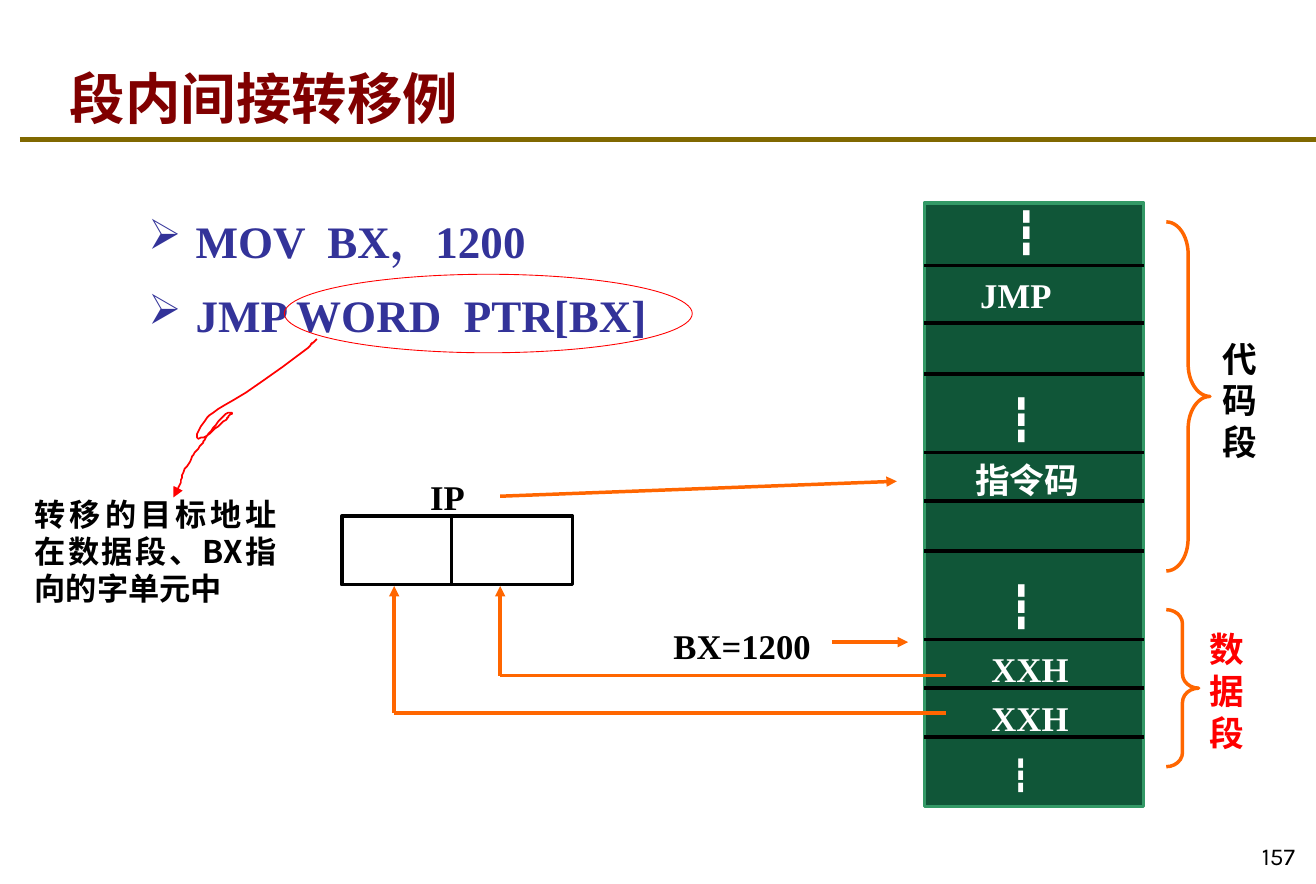
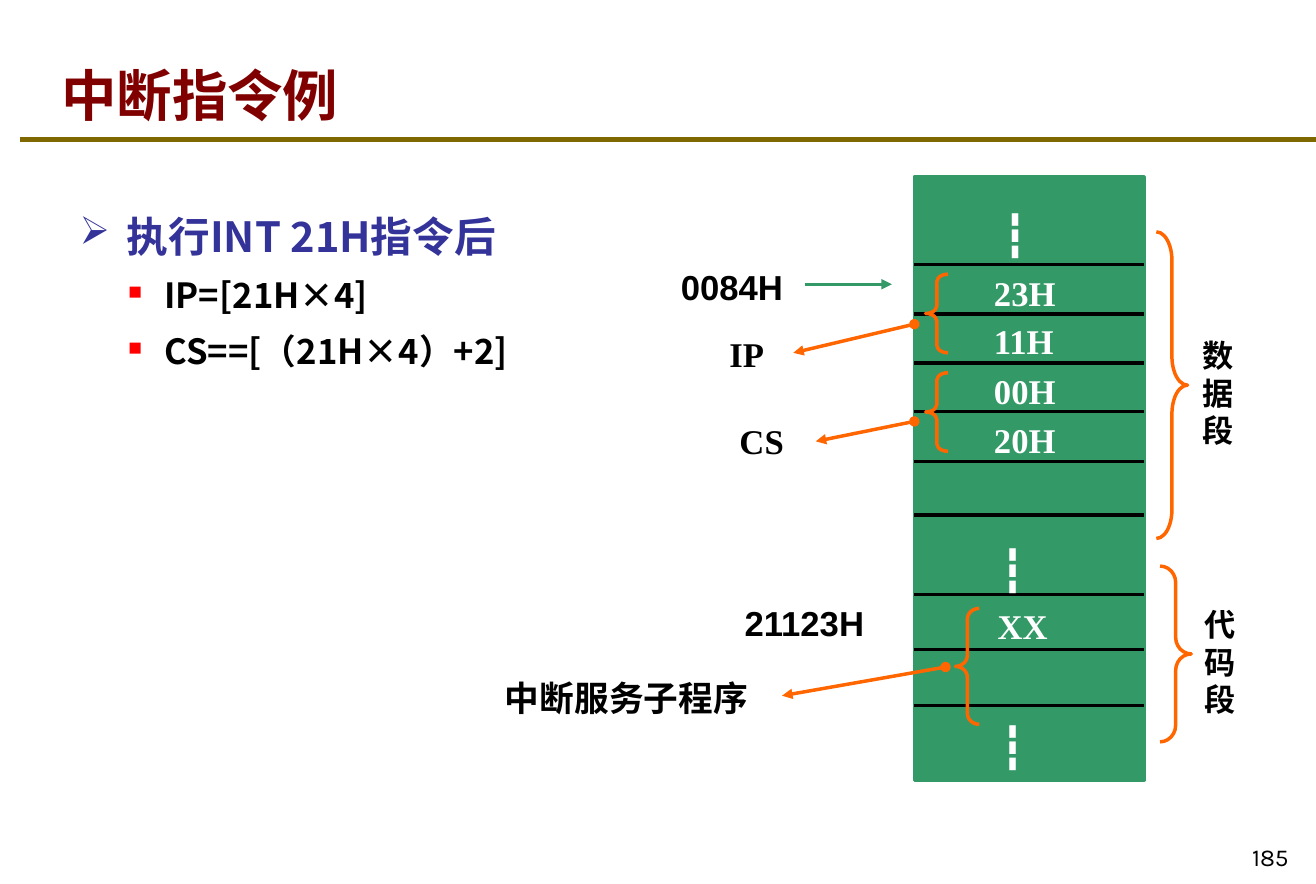
"""Builds two slides on memory segments: an indirect jump and an interrupt."""
from dataclasses import dataclass

import pptx
import pptx.dml.color
import pptx.enum.shapes
import pptx.enum.text
import pptx.oxml
import pptx.oxml.ns
import pptx.util

SHAPES = pptx.enum.shapes.MSO_SHAPE
ALIGN = pptx.enum.text.PP_ALIGN
ANCHOR = pptx.enum.text.MSO_ANCHOR


@dataclass(frozen=True)
class Theme:
    emu_per_px: int = 9144
    line_spacing: float = 1.2
    serif: str = "Times New Roman"
    sans: str = "Arial"
    chinese: str = "Noto Sans CJK SC"
    page_font: str = "Karla"
    title_size: int = 32
    code_size: int = 26
    heading_size: int = 24
    label_size: int = 20
    note_size: int = 18
    page_size: int = 14
    black: str = "000000"
    white: str = "FFFFFF"
    maroon: str = "800000"
    olive: str = "806800"
    blue: str = "333399"
    green: str = "339966"
    dark_green: str = "105638"
    orange: str = "FF6600"
    red: str = "FF0000"


THEME = Theme()


def rgb(color):
    return pptx.dml.color.RGBColor.from_string(color)


def add_xml(parent, tag, **attributes):
    return pptx.oxml.ns.qn(tag) and parent.append(
        pptx.oxml.parse_xml(
            f"<{tag} {pptx.oxml.ns.nsdecls('a')} "
            + " ".join(f'{name}="{value}"' for name, value in attributes.items())
            + "/>"
        )
    )


class Deck:
    def __init__(self, width, height):
        self.presentation = pptx.Presentation()
        self.presentation.slide_width = self.px(width)
        self.presentation.slide_height = self.px(height)
        self.slide = None

    def px(self, length):
        return pptx.util.Emu(length * THEME.emu_per_px)

    def place(self, shape, box):
        shape.left, shape.top, shape.width, shape.height = map(self.px, box)

    def format(self, paragraph, size, font, color, bold=True, align=ALIGN.LEFT):
        paragraph.alignment = align
        paragraph.line_spacing = pptx.util.Pt(round(size * THEME.line_spacing, 1))
        paragraph.font.size = pptx.util.Pt(size)
        paragraph.font.bold = bold
        paragraph.font.name = font
        paragraph.font.color.rgb = rgb(color)
        defaults = paragraph._p.pPr.find(pptx.oxml.ns.qn("a:defRPr"))
        add_xml(defaults, "a:ea", typeface=font)

    def new_slide(self, title, title_box, page, page_box):
        layout = self.presentation.slide_layouts[5]
        self.slide = self.presentation.slides.add_slide(layout)
        self.line(16, 112, 1055, 112, THEME.olive, 3)
        placeholder = self.slide.shapes.title
        self.place(placeholder, title_box)
        frame = placeholder.text_frame
        frame.text = title
        frame.auto_size = pptx.enum.text.MSO_AUTO_SIZE.NONE
        frame.vertical_anchor = ANCHOR.BOTTOM
        self.format(frame.paragraphs[0], THEME.title_size, THEME.chinese, THEME.maroon)
        self.text(page, page_box, THEME.page_font, size=THEME.page_size,
                  bold=False, align=ALIGN.RIGHT, anchor=ANCHOR.BOTTOM)

    def text_frame(self, box, anchor=ANCHOR.TOP):
        frame = self.slide.shapes.add_textbox(*map(self.px, box)).text_frame
        frame.word_wrap = True
        frame.vertical_anchor = anchor
        return frame

    def text(self, words, box, font=THEME.serif, color=THEME.black,
             size=THEME.label_size, bold=True, align=ALIGN.LEFT, anchor=ANCHOR.TOP):
        paragraph = self.text_frame(box, anchor).paragraphs[0]
        paragraph.text = words
        self.format(paragraph, size, font, color, bold, align)

    def bullets(self, items, box, font, gap):
        frame = self.text_frame(box)
        for index, (words, level, size) in enumerate(items):
            paragraph = frame.add_paragraph() if index else frame.paragraphs[0]
            paragraph.text = words
            if index:
                paragraph.space_before = pptx.util.Pt(gap)
            margin, hanging, mark, percent, mark_color, color = (
                (38, 38, "➢", 93, THEME.blue, THEME.blue),
                (68, 29, "■", 55, THEME.red, THEME.black),
            )[level]
            properties = paragraph._p.get_or_add_pPr()
            properties.set("marL", str(self.px(margin)))
            properties.set("indent", str(-self.px(hanging)))
            properties.append(pptx.oxml.parse_xml(
                f"<a:buClr {pptx.oxml.ns.nsdecls('a')}>"
                f'<a:srgbClr val="{mark_color}"/></a:buClr>'))
            add_xml(properties, "a:buSzPct", val=percent * 1000)
            add_xml(properties, "a:buChar", char=mark)
            self.format(paragraph, size, font, color)

    def outline(self, shape, color, weight, fill=None):
        shape.shadow.inherit = False
        shape.line.color.rgb = rgb(color)
        shape.line.width = pptx.util.Pt(weight)
        if fill:
            shape.fill.solid()
            shape.fill.fore_color.rgb = rgb(fill)
        else:
            shape.fill.background()

    def shape(self, kind, box, color, weight=2, fill=None, adjustments=()):
        shape = self.slide.shapes.add_shape(kind, *map(self.px, box))
        for index, value in enumerate(adjustments):
            shape.adjustments[index] = value
        self.outline(shape, color, weight, fill)

    def brace(self, kind, box, curve):
        self.shape(kind, box, THEME.orange, adjustments=(curve, 0.5))

    def line(self, x1, y1, x2, y2, color=THEME.orange, weight=2, head=None, tail=None):
        connector = self.slide.shapes.add_connector(
            pptx.enum.shapes.MSO_CONNECTOR.STRAIGHT, *map(self.px, (x1, y1, x2, y2)))
        connector.line.color.rgb = rgb(color)
        connector.line.width = pptx.util.Pt(weight)
        self.line_ends(connector, head, tail)
        add_xml(connector._element.spPr, "a:effectLst")

    def line_ends(self, shape, head=None, tail=None):
        outline = shape.line._get_or_add_ln()
        for tag, end in (("a:headEnd", head), ("a:tailEnd", tail)):
            if end:
                add_xml(outline, tag, type=end)

    def curve_arrow(self, start, segments, color, weight):
        steps = 12
        points = [start]
        for controls in segments:
            a, b, c, d = points[-1], *controls
            for step in range(1, steps + 1):
                t = step / steps
                points.append(tuple(
                    (1 - t) ** 3 * a[i] + 3 * t * (1 - t) ** 2 * b[i]
                    + 3 * t * t * (1 - t) * c[i] + t ** 3 * d[i] for i in (0, 1)))
        builder = self.slide.shapes.build_freeform(*start, scale=THEME.emu_per_px)
        builder.add_line_segments(points[1:], close=False)
        shape = builder.convert_to_shape()
        self.outline(shape, color, weight)
        self.line_ends(shape, tail="triangle")

    def memory(self, box, fill, dividers):
        left, _, width, _ = box
        self.shape(SHAPES.RECTANGLE, box, THEME.green, fill=fill)
        for y in dividers:
            self.line(left, y, left + width, y, THEME.black)

    def cell(self, words, left, top, font=THEME.serif, align=ALIGN.LEFT):
        self.text(words, (left, top, 123, 44), font, THEME.white, align=align)

    def dots(self, left, top, size=THEME.heading_size):
        self.text("┇", (left, top, 62, 50), color=THEME.white, size=size)


def jump_slide(deck):
    deck.new_slide("段内间接转移例", (46, 27, 899, 83), "157", (974, 656, 74, 47))
    deck.bullets([("MOV  BX，1200", 0, THEME.code_size),
                  ("JMP WORD  PTR[BX]", 0, THEME.code_size)],
                 (109, 166, 491, 153), THEME.serif, 12)
    deck.memory((741, 163, 176, 484), THEME.dark_green,
                (213, 259, 300, 363, 402, 442, 513, 552, 591))
    for left, top in ((803, 160), (799, 310), (799, 460)):
        deck.dots(left, top)
    deck.dots(801, 601, THEME.note_size)
    deck.cell("JMP", 776, 215)
    deck.cell("指令码", 762, 363, THEME.chinese, ALIGN.CENTER)
    for top in (515, 554):
        deck.cell("XXH", 785, top)

    deck.brace(SHAPES.RIGHT_BRACE, (935, 178, 35, 280), 0.74)
    deck.brace(SHAPES.RIGHT_BRACE, (935, 489, 26, 126), 0.44)
    deck.text("代码段", (970, 266, 55, 111), THEME.chinese)
    deck.text("数据段", (960, 499, 53, 111), THEME.chinese, THEME.red)

    deck.text("BX=1200", (530, 496, 141, 44))
    deck.line(667, 515, 728, 515, tail="triangle")
    deck.shape(SHAPES.RECTANGLE, (274, 414, 185, 55), THEME.black)
    deck.line(362, 414, 362, 469, THEME.black)
    deck.text("IP", (335, 377, 75, 44))
    deck.line(401, 398, 719, 386, tail="triangle")
    for column, row in ((316, 572), (401, 542)):
        deck.line(758, row, column, row)
        deck.line(column, row, column, 470, tail="triangle")

    deck.shape(SHAPES.OVAL, (228, 220, 327, 63), THEME.red, 0.5)
    deck.curve_arrow((254, 272), [
        ((252, 274), (249, 276), (247, 279)),
        ((157, 347), (174, 320), (158, 348)),
        ((158, 349), (157, 351), (158, 351)),
        ((163, 355), (177, 339), (182, 336)),
        ((183, 334), (186, 331), (186, 331)),
        ((181, 329), (169, 345), (164, 353)),
        ((162, 357), (156, 361), (152, 371)),
        ((143, 383), (147, 387), (139, 399)),
    ], THEME.red, 1)
    deck.text("转移的目标地址在数据段、BX指向的字单元中", (18, 392, 214, 101),
              THEME.chinese, size=THEME.note_size, align=ALIGN.JUSTIFY)


def interrupt_slide(deck):
    deck.new_slide("中断指令例", (39, 28, 899, 79), "185", (963, 657, 80, 47))
    deck.bullets([("执行INT 21H指令后", 0, THEME.heading_size),
                  ("IP=[21H×4]", 1, THEME.label_size),
                  ("CS==[（21H×4）+2]", 1, THEME.label_size)],
                 (54, 164, 484, 306), THEME.chinese, 8)
    deck.memory((733, 142, 184, 484), THEME.green,
                (212, 252, 291, 330, 370, 413, 477, 521, 566))
    for left, top in ((794, 163), (792, 431), (792, 573)):
        deck.dots(left, top)
    for words, top in (("23H", 213), ("11H", 252), ("00H", 292), ("20H", 331)):
        deck.cell(words, 787, top)
    deck.cell("XX", 790, 480)

    deck.text("0084H", (536, 208, 132, 44), THEME.sans)
    deck.line(645, 228, 715, 228, THEME.green, tail="triangle")
    deck.text("21123H", (587, 478, 132, 44), THEME.sans)
    deck.text("IP", (575, 262, 70, 44))
    deck.text("CS", (583, 332, 79, 44))
    deck.text("中断服务子程序", (395, 538, 274, 44), THEME.chinese)

    for box, curve in (((742, 220, 18, 63), 0.33), ((742, 299, 18, 63), 0.33),
                       ((766, 488, 19, 93), 0.46)):
        deck.brace(SHAPES.LEFT_BRACE, box, curve)
    for ends in ((733, 260, 636, 283), (733, 338, 654, 354), (758, 535, 627, 558)):
        deck.line(*ends, head="oval", tail="triangle")
    for words, box, curve, left, top in (
            ("数据段", (927, 186, 25, 246), 0.92, 950, 265),
            ("代码段", (930, 454, 25, 141), 0.53, 952, 481)):
        deck.brace(SHAPES.RIGHT_BRACE, box, curve)
        deck.text(words, (left, top, 53, 101), THEME.chinese,
                  size=THEME.note_size, align=ALIGN.CENTER)


def main():
    deck = Deck(1055, 709)
    jump_slide(deck)
    interrupt_slide(deck)
    deck.presentation.save("out.pptx")


if __name__ == "__main__":
    main()
